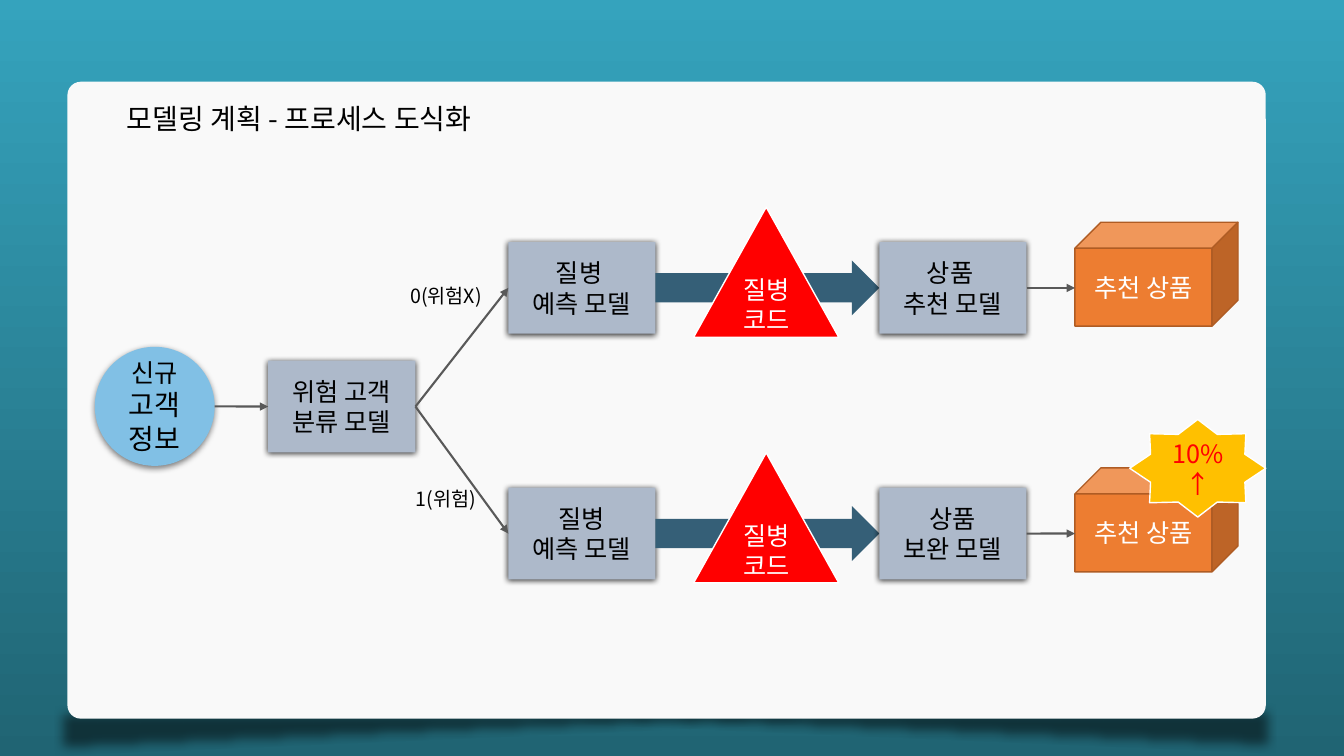
import pptx
import pptx.dml.color
import pptx.enum.shapes
import pptx.enum.text
import pptx.oxml
import pptx.oxml.ns
import pptx.util

Cm, Pt = pptx.util.Cm, pptx.util.Pt
SHAPE = pptx.enum.shapes.MSO_SHAPE
STRAIGHT = pptx.enum.shapes.MSO_CONNECTOR.STRAIGHT
ALIGN = pptx.enum.text.PP_ALIGN
ANCHOR = pptx.enum.text.MSO_ANCHOR
FONT = "Noto Sans CJK KR"
BLACK, WHITE, RED = "000000", "FFFFFF", "FF0000"
BOX_W, BOX_H = 3.71, 2.31
ROW_STEP = 6.19


def color(value):
    return pptx.dml.color.RGBColor.from_string(value)


def add_xml(parent, tag, **attrs):
    child = parent.makeelement(pptx.oxml.ns.qn(tag), {k: str(v) for k, v in attrs.items()})
    parent.append(child)
    return child


def write(sp, text, sizes=(18,), ink=BLACK, align=ALIGN.CENTER, anchor=ANCHOR.MIDDLE, inset=None):
    tf = sp.text_frame
    values = {"word_wrap": True, "vertical_anchor": anchor}
    if inset is not None:
        for side in ("left", "right", "top", "bottom"):
            values["margin_" + side] = Cm(inset)
    for name, value in values.items():
        setattr(tf, name, value)
    for i, line in enumerate(text.split("\n")):
        p = tf.add_paragraph() if i else tf.paragraphs[0]
        p.alignment = align
        r = p.add_run()
        r.text = line
        for name, value in {"name": FONT, "size": Pt(sizes[min(i, len(sizes) - 1)])}.items():
            setattr(r.font, name, value)
        r.font.color.rgb = color(ink)
        add_xml(r.font._element, "a:ea", typeface=FONT)


def add_label(s, x, y, w, h, text, **style):
    sp = s.shapes.add_textbox(Cm(x), Cm(y), Cm(w), Cm(h))
    write(sp, text, anchor=ANCHOR.TOP, **style)


def add_shape(s, kind, x, y, w, h, fill, line=None, adjust=(), shadow=None):
    sp = s.shapes.add_shape(kind, Cm(x), Cm(y), Cm(w), Cm(h))
    for i, value in enumerate(adjust):
        sp.adjustments[i] = value
    sp.fill.solid()
    sp.fill.fore_color.rgb = color(fill)
    if line:
        sp.line.color.rgb = color(line)
        sp.line.width = Pt(1)
    else:
        sp.line.fill.background()
    sp.shadow.inherit = False
    if shadow:
        opacity, distance = shadow
        effects = sp._element.spPr.find(pptx.oxml.ns.qn("a:effectLst"))
        outer = add_xml(effects, "a:outerShdw", blurRad=Pt(4.5), dist=Pt(distance), dir=5400000)
        add_xml(add_xml(outer, "a:srgbClr", val=BLACK), "a:alpha", val=opacity * 1000)
    return sp


def add_model(s, x, y, text):
    sp = add_shape(s, SHAPE.RECTANGLE, x, y, BOX_W, BOX_H, "ADB9CA", shadow=(80, 0.8))
    write(sp, text, inset=0.03)
    return sp


def add_arrow(s, x1, y1, x2, y2, start=None, end=None):
    line = s.shapes.add_connector(STRAIGHT, Cm(x1), Cm(y1), Cm(x2), Cm(y2))
    if start is not None:
        line.begin_connect(start, 3)
    if end is not None:
        line.end_connect(end, 1)
    line.line.color.rgb = color("595959")
    line.line.width = Pt(1.5)
    add_xml(line.line._get_or_add_ln(), "a:tailEnd", type="triangle")
    add_xml(line._element.spPr, "a:effectLst")


def draw_panel(s, x, y, w, h):
    # Soft curled shadows under the lower corners
    for dx, dy, flips in ((-0.05, 15.67, ("flipH", "flipV")), (-0.33, 15.72, ("flipV",))):
        sp = add_shape(s, SHAPE.RIGHT_TRIANGLE, x + dx, y + dy, w + 0.33, 1.27, BLACK)
        spPr = sp._element.spPr
        for flip in flips:
            spPr.get_or_add_xfrm().set(flip, "1")
        add_xml(next(spPr.iter(pptx.oxml.ns.qn("a:srgbClr"))), "a:alpha", val=51000)
        add_xml(spPr.find(pptx.oxml.ns.qn("a:effectLst")), "a:softEdge", rad=Pt(8))
    # Card and title
    add_shape(s, SHAPE.ROUNDED_RECTANGLE, x, y, w, h, "F9F9F9", adjust=(0.021,))
    add_label(s, x + 1.25, y + 0.38, 10.29, 1.12, "모델링 계획 - 프로세스 도식화",
              sizes=(20,), align=ALIGN.LEFT)


def draw_input(s, x, y):
    """New customer data and the risk classifier."""
    customer = add_shape(s, SHAPE.OVAL, x, y, 3.02, 3, "81C0E5", shadow=(50, 1.5))
    write(customer, "신규\n고객\n정보", sizes=(18, 20), inset=0.05)
    classifier = add_model(s, x + 4.37, y + 0.35, "위험 고객\n분류 모델")
    add_arrow(s, x + 3.02, y + 1.5, x + 4.37, y + 1.5, end=classifier)
    return classifier


def draw_branch(s, x, y, classifier, disease, product):
    """One row from disease prediction to the recommended product."""
    middle = y + BOX_H / 2
    predictor = add_model(s, x, y, disease)
    add_arrow(s, x - 2.34, middle, x, middle, start=classifier, end=predictor)
    add_shape(s, SHAPE.RIGHT_ARROW, x + BOX_W, middle - 0.69, 5.64, 1.38, "355F77",
              adjust=(0.534, 0.5))
    recommender = add_model(s, x + 9.35, y, product)
    cube = add_shape(s, SHAPE.CUBE, x + 14.28, y - 0.5, 4.11, 2.62, "ED7D31", line="AF5C24")
    write(cube, "추천 상품", ink=WHITE)
    add_arrow(s, x + 9.35 + BOX_W, middle, x + 14.28, middle, start=recommender)
    code = add_shape(s, SHAPE.ISOSCELES_TRIANGLE, x + 4.67, y - 0.88, 3.66, 3.28, RED, line=WHITE)
    write(code, "질병 코드", ink=WHITE, inset=0.05)


def draw_process(s, x, y):
    classifier = draw_input(s, x, y)
    branches = (("질병 \n예측 모델", "상품 \n추천 모델"), ("질병\n예측 모델", "상품\n보완 모델"))
    for i, (disease, product) in enumerate(branches):
        draw_branch(s, x + 10.42, y - 2.64 + i * ROW_STEP, classifier, disease, product)
    # Branch conditions
    for dy, text in ((-1.58, "0(위험X)"), (3.53, "1(위험)")):
        add_label(s, x + 7.87, y + dy, 1.96, 0.7, text, sizes=(14,), inset=0)
    # Uplift badge
    star = add_shape(s, SHAPE.STAR_8_POINT, x + 26.08, y + 1.83, 3.43, 2.46, "FFC000", line=WHITE)
    write(star, "10%↑", ink=RED)


def main():
    prs = pptx.Presentation()
    prs.slide_width, prs.slide_height = Cm(33.87), Cm(19.05)
    s = prs.slides.add_slide(prs.slide_layouts[6])
    # Background fades downwards
    fill = s.background.fill
    fill.gradient()
    fill.gradient_angle = 270
    for stop, value in zip(fill.gradient_stops, ("35A3BD", "206473")):
        stop.color.rgb = color(value)
    draw_panel(s, 1.7, 2.06, 30.2, 16.05)
    draw_process(s, 2.39, 8.74)
    prs.save("out.pptx")


if __name__ == "__main__":
    main()
